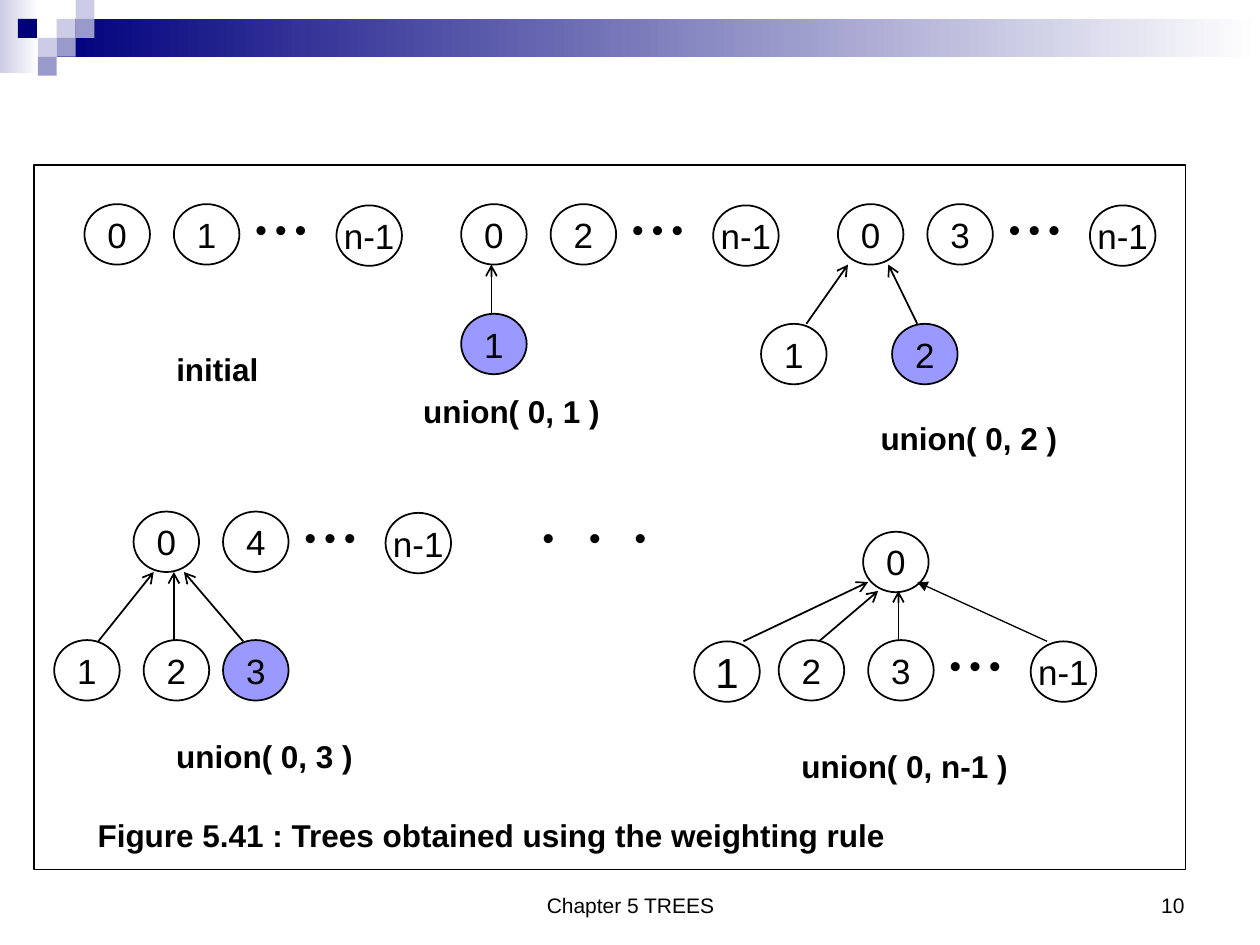
from typing import NamedTuple

from lxml.etree import SubElement as Sub
from pptx import Presentation
from pptx.dml.color import RGBColor as Rgb
from pptx.enum.shapes import MSO_CONNECTOR as Link, MSO_SHAPE as Kind
from pptx.enum.text import MSO_ANCHOR as Anchor, PP_ALIGN as Align
from pptx.oxml.ns import qn
from pptx.util import Inches, Pt

HEX = {"ink": "000000", "paper": "FFFFFF", "new": "9999FF",
       "navy": "00007D", "pale": "CCCCE6", "mid": "9999CC"}
NODE_W, NODE_H = 0.52, 0.48
TILE = 0.15
DOTS = "• • •"


class Node(NamedTuple):
    text: str
    x: float
    y: float
    fill: str = "paper"
    size: int = 20


class Row(NamedTuple):
    x: float
    y: float
    first: str
    second: str


class Edge(NamedTuple):
    child: tuple[float, float]
    root: tuple[float, float]
    head: str = "arrow"
    width: float = 1


class Label(NamedTuple):
    text: str
    x: float
    y: float
    w: float
    h: float = 0.4
    size: int = 18
    bold: bool = True
    align: Align = Align.CENTER
    anchor: Anchor = Anchor.TOP
    tabs: tuple[float, ...] = ()


# Forests: two roots, dots, last root
ROWS = [Row(0.67, 1.62, "0", "1"), Row(3.66, 1.62, "0", "2"),
        Row(6.65, 1.62, "0", "3"), Row(1.06, 4.06, "0", "4"),
        Row(6.18, 5.08, "2", "3")]

NODES = [
    Node("1", 3.66, 2.49, "new"),
    Node("1", 6.04, 2.57), Node("2", 7.08, 2.57, "new"),
    Node("1", 0.43, 5.08), Node("2", 1.14, 5.08), Node("3", 1.77, 5.08, "new"),
    Node("0", 6.85, 4.22), Node("1", 5.51, 5.09, size=24),
]

EDGES = [
    Edge((3.9, 2.49), (3.9, 2.1)),
    Edge((6.4, 2.57), (6.73, 2.1)), Edge((7.28, 2.57), (7.05, 2.1)),
    Edge((0.78, 5.09), (1.22, 4.54)), Edge((1.38, 5.09), (1.38, 4.54)),
    Edge((1.93, 5.09), (1.46, 4.54)),
    Edge((5.9, 5.09), (6.89, 4.62)), Edge((6.5, 5.09), (6.97, 4.69)),
    Edge((7.13, 5.09), (7.13, 4.69)),
    Edge((8.31, 5.09), (7.28, 4.62), "triangle", 0.75),
]

FOOT = {"y": 6.83, "h": 0.5, "size": 12, "bold": False, "anchor": Anchor.BOTTOM}
LABELS = [
    Label("initial", 1.3, 2.73, 0.85),
    Label("union( 0, 1 )", 3.26, 3.06, 1.6),
    Label("union( 0, 2 )", 6.89, 3.28, 1.6),
    Label("union( 0, 3 )", 1.3, 5.8, 1.6),
    Label("union( 0, n-1 )", 6.26, 5.88, 1.84),
    Label("•\t•\t•", 4.21, 4.06, 1.02, align=Align.LEFT, tabs=(0.37, 0.73)),
    Label("Figure 5.41 : Trees obtained using the weighting rule", 0.67, 6.43, 6.46),
    Label("Chapter 5 TREES", 3.42, w=3.17, **FOOT),
    Label("10", 7.17, w=2.33, align=Align.RIGHT, **FOOT),
]

# Corner tiles: column, row, colour
TILES = [(3, 1, "pale"), (4, 0, "pale"), (4, 1, "mid"), (2, 2, "pale"),
         (0.95, 1, "navy"), (3, 2, "mid"), (2, 3, "mid")]


def tint(name: str) -> Rgb:
    return Rgb.from_string(HEX[name])


def put(item, values: dict) -> None:
    for name, value in values.items():
        setattr(item, name, value)


def write(frame, text: str, size: int, bold: bool, align: Align,
          anchor: Anchor, wrap: bool, tabs: tuple[float, ...] = ()) -> None:
    put(frame, {"word_wrap": wrap, "vertical_anchor": anchor})
    para = frame.paragraphs[0]
    if tabs:
        stops = Sub(para._p.get_or_add_pPr(), qn("a:tabLst"))
        for stop in tabs:
            Sub(stops, qn("a:tab"), pos=str(Inches(stop)), algn="l")
    para.alignment = align
    run = para.add_run()
    run.text = text
    put(run.font, {"name": "Arial", "size": Pt(size), "bold": bold})
    run.font.color.rgb = tint("ink")


def draw_shape(slide, kind: Kind, x: float, y: float, w: float, h: float,
               fill: str, line: float = 0):
    shape = slide.shapes.add_shape(kind, *map(Inches, (x, y, w, h)))
    shape.shadow.inherit = False
    shape.fill.solid()
    shape.fill.fore_color.rgb = tint(fill)
    if line:
        shape.line.color.rgb = tint("ink")
        shape.line.width = Pt(line)
    else:
        shape.line.fill.background()
    return shape


def draw_fade(slide, x: float, y: float, w: float, h: float, start: str) -> None:
    fill = draw_shape(slide, Kind.RECTANGLE, x, y, w, h, start).fill
    fill.gradient()
    fill.gradient_angle = 0
    for stop, name in zip(fill.gradient_stops, (start, "paper")):
        stop.color.rgb = tint(name)


def draw_node(slide, node: Node) -> None:
    shape = draw_shape(slide, Kind.OVAL, node.x, node.y, NODE_W, NODE_H, node.fill, 1)
    write(shape.text_frame, node.text, node.size, False, Align.CENTER,
          Anchor.MIDDLE, False)


def draw_label(slide, label: Label) -> None:
    box = slide.shapes.add_textbox(
        *map(Inches, (label.x, label.y, label.w, label.h)))
    wrap = not label.bold or bool(label.tabs)
    write(box.text_frame, label.text, label.size, label.bold, label.align,
          label.anchor, wrap, label.tabs)


def draw_row(slide, row: Row) -> None:
    draw_node(slide, Node(row.first, row.x, row.y))
    draw_node(slide, Node(row.second, row.x + 0.71, row.y))
    draw_label(slide, Label(DOTS, row.x + 1.26, row.y, 0.6))
    draw_node(slide, Node("n-1", row.x + 2, row.y + 0.01))


def draw_edge(slide, edge: Edge) -> None:
    link = slide.shapes.add_connector(
        Link.STRAIGHT, *map(Inches, edge.child + edge.root))
    link.line.color.rgb = tint("ink")
    link.line.width = Pt(edge.width)
    Sub(link.line._get_or_add_ln(), qn("a:tailEnd"), type=edge.head)
    Sub(link._element.spPr, qn("a:effectLst"))


def main() -> None:
    deck = Presentation()
    put(deck, {"slide_width": Inches(10), "slide_height": Inches(7.5)})
    slide = deck.slides.add_slide(deck.slide_layouts[6])

    # Banner
    draw_fade(slide, 0, 0, 0.31, 0.58, "pale")
    draw_fade(slide, 0.45, TILE, 9.55, 2 * TILE, "navy")
    for col, row, name in TILES:
        draw_shape(slide, Kind.RECTANGLE, col * TILE, row * TILE, TILE, TILE, name)

    # Framed figure
    draw_shape(slide, Kind.RECTANGLE, 0.27, 1.31, 9.14, 5.59, "paper", 0.75)
    for draw, parts in ((draw_row, ROWS), (draw_node, NODES),
                        (draw_edge, EDGES), (draw_label, LABELS)):
        for part in parts:
            draw(slide, part)

    deck.save("out.pptx")


if __name__ == "__main__":
    main()
